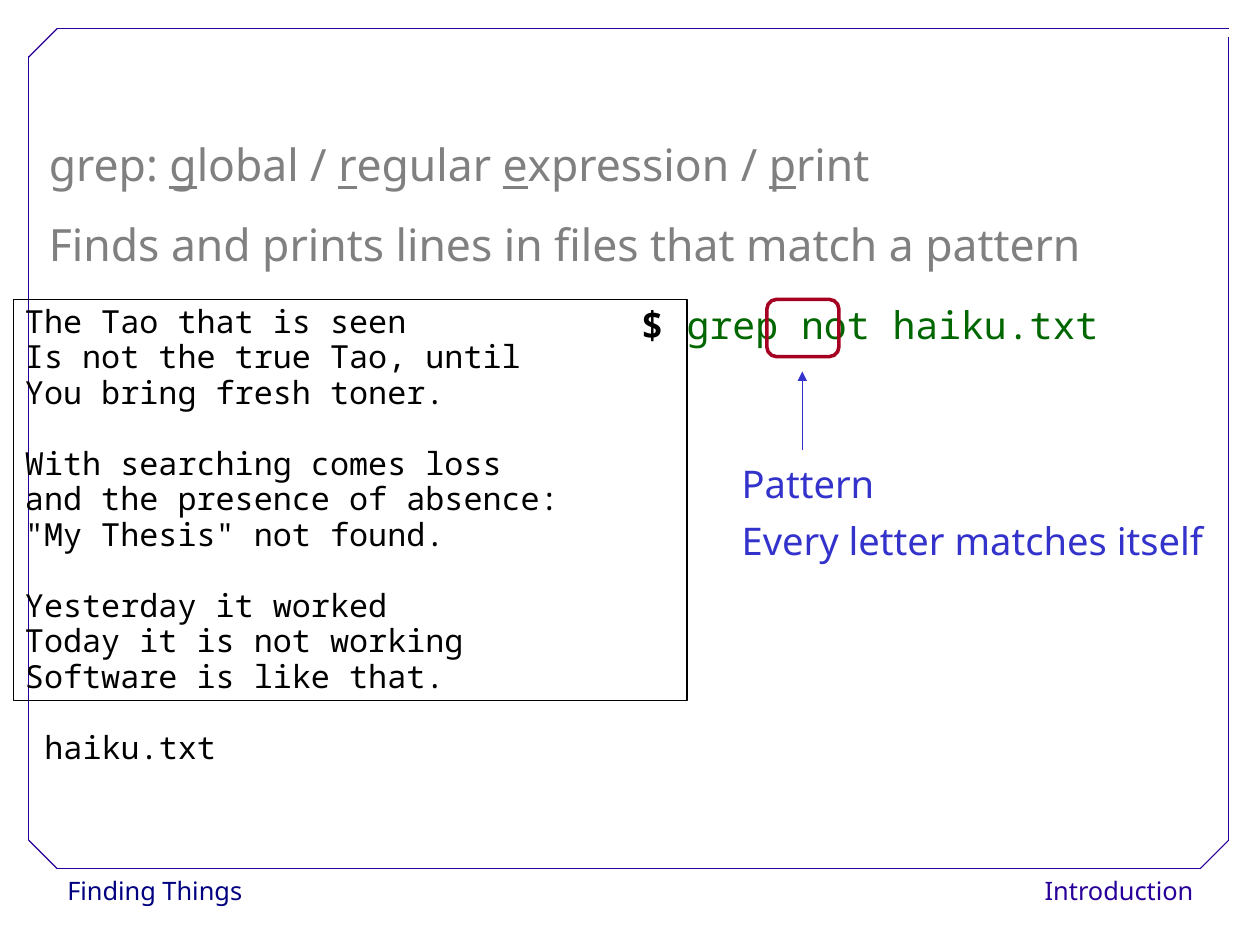
from lxml import etree
from pptx import Presentation
from pptx.dml.color import RGBColor
from pptx.enum.shapes import MSO_CONNECTOR as CONNECTOR, MSO_SHAPE as SHAPE
from pptx.enum.text import MSO_ANCHOR as ANCHOR, PP_ALIGN as ALIGN
from pptx.oxml.ns import qn
from pptx.util import Inches, Pt

WHITE = RGBColor(0xFF, 0xFF, 0xFF)
BLACK = RGBColor(0x00, 0x00, 0x00)
GREY = RGBColor(0x80, 0x80, 0x80)
NAVY = RGBColor(0x00, 0x00, 0x80)
INDIGO = RGBColor(0x28, 0x00, 0x99)
BLUE = RGBColor(0x33, 0x33, 0xCC)
GREEN = RGBColor(0x00, 0x66, 0x00)
RED = RGBColor(0xA5, 0x00, 0x21)
SANS = "Noto Sans"
MONO = "Noto Sans Mono"
CM_PER_INCH = 2.54

FRAME = [
    (0.5, 7.6, 10.5, 7.6),
    (0.25, 7.35, 0.25, 0.49),
    (0.5, 0.25, 10.75, 0.25),
    (10.75, 7.35, 10.75, 0.32),
    (0.25, 0.5, 0.5, 0.25),
    (10.5, 7.6, 10.75, 7.35),
    (0.25, 7.35, 0.5, 7.6),
]
ACRONYM = ["global / ", "regular ", "expression / ", "print"]
HAIKU = [
    ["The Tao that is seen", "Is not the true Tao, until", "You bring fresh toner."],
    ["With searching comes loss", "and the presence of absence:", '"My Thesis" not found.'],
    ["Yesterday it worked", "Today it is not working", "Software is like that."],
]


class Deck:
    def __init__(self, width, height):
        self.prs = Presentation()
        self.prs.slide_width = Inches(width)
        self.prs.slide_height = Inches(height)
        self.s = self.prs.slides.add_slide(self.prs.slide_layouts[6])

    def box(self, at, shape=SHAPE.RECTANGLE, fill=None, line=None, width=0.75):
        sp = self.s.shapes.add_shape(shape, *map(Inches, at))
        sp.shadow.inherit = False
        if fill is None:
            sp.fill.background()
        else:
            sp.fill.solid()
            sp.fill.fore_color.rgb = fill
        if line is None:
            sp.line.fill.background()
        else:
            sp.line.color.rgb = line
            sp.line.width = Pt(width)
        return sp

    def text(self, at, lines, size, color, font=SANS, spacing=1.0, align=ALIGN.LEFT, sp=None):
        sp = sp or self.s.shapes.add_textbox(*map(Inches, at))
        tf = sp.text_frame
        tf.word_wrap = False
        tf.vertical_anchor = ANCHOR.TOP
        tf.text = "\n".join(lines)
        for p in tf.paragraphs:
            p.alignment = align
            p.line_spacing = spacing
            p.font.size = Pt(size)
            for r in p.runs:
                self.style(r, size, color, font)
        return tf

    def style(self, r, size, color, font):
        r.font.size = Pt(size)
        r.font.name = font
        r.font.color.rgb = color

    def run(self, p, text, size, color, font=SANS, underline=False):
        r = p.add_run()
        r.text = text
        self.style(r, size, color, font)
        r.font.underline = underline

    def line(self, ends, color, arrow=False):
        c = self.s.shapes.add_connector(CONNECTOR.STRAIGHT, *map(Inches, ends))
        c.line.color.rgb = color
        c.line.width = Pt(0.75)
        if arrow:
            ln = c._element.spPr.find(qn("a:ln"))
            etree.SubElement(ln, qn("a:tailEnd"), type="triangle")
        etree.SubElement(c._element.spPr, qn("a:effectLst"))


def main():
    deck = Deck(28 / CM_PER_INCH, 21 / CM_PER_INCH)

    for at, label, color, align in [
        ((0.49, 7.6, 2.15, 0.4), "Finding Things", NAVY, ALIGN.LEFT),
        ((9.14, 7.6, 1.4, 0.4), "Introduction", INDIGO, ALIGN.RIGHT),
    ]:
        deck.text(at, [label], 16, color, spacing=1.02, align=align, sp=deck.box(at, fill=WHITE))
    for ends in FRAME:
        deck.line(ends, INDIGO)

    heading = ["grep: ", "Finds and prints lines in files that match a pattern"]
    tf = deck.text((0.33, 0.92, 10.22, 1.5), heading, 28, GREY, spacing=1.5)
    for word in ACRONYM:
        deck.run(tf.paragraphs[0], word[0], 28, GREY, underline=True)
        deck.run(tf.paragraphs[0], word[1:], 28, GREY)

    at = (0.12, 2.62, 5.89, 3.51)
    verses = [verse for stanza in HAIKU for verse in stanza]
    tf = deck.text(at, verses, 20, BLACK, MONO, 0.93, sp=deck.box(at, line=BLACK))
    for p in tf.paragraphs[3::3]:
        p.space_before = Pt(22.4)
    deck.text((0.29, 6.15, 2.71, 0.6), ["haiku.txt"], 20, BLACK, MONO, 1.5)

    tf = deck.text((5.51, 2.49, 4.6, 3.4), ["$ "], 24, BLACK, MONO, 1.25)
    command = tf.paragraphs[0]
    command.runs[0].font.bold = True
    deck.run(command, "grep not haiku.txt", 24, GREEN, MONO)

    deck.box((6.71, 2.62, 0.63, 0.5), SHAPE.ROUNDED_RECTANGLE, line=RED, width=2.25)
    note = ["Pattern", "Every letter matches itself"]
    deck.text((6.39, 3.88, 4.4, 1.13), note, 24, BLUE, spacing=1.25)
    deck.line((7.02, 3.94, 7.02, 3.25), BLUE, arrow=True)

    deck.prs.save("out.pptx")


if __name__ == "__main__":
    main()
